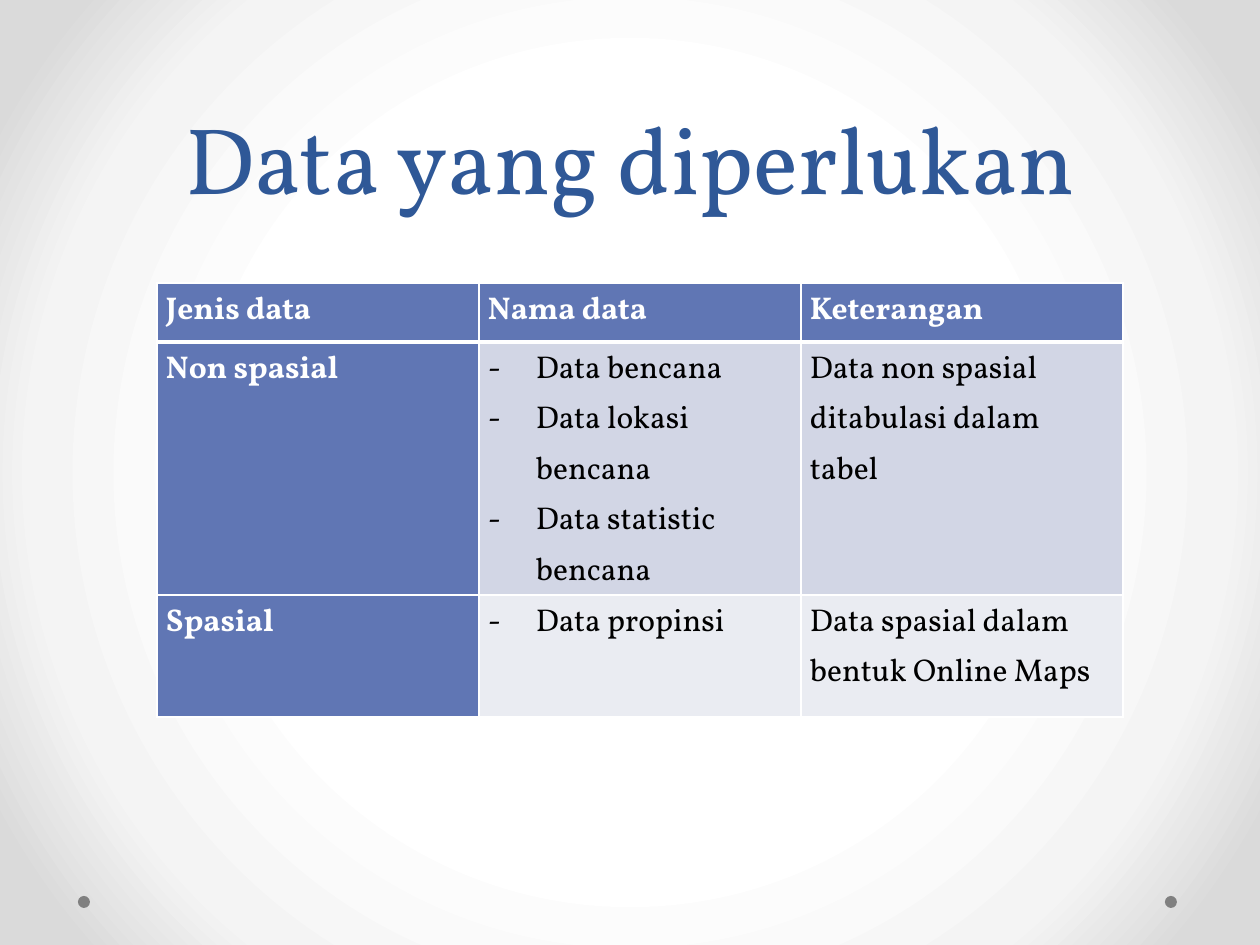
from pptx import Presentation
from pptx.dml.color import RGBColor
from pptx.enum.shapes import MSO_SHAPE
from pptx.enum.text import MSO_ANCHOR, MSO_AUTO_SIZE, PP_ALIGN
from pptx.oxml import parse_xml
from pptx.oxml.ns import nsdecls
from pptx.util import Pt
from lxml import etree

PX = 914400 // 126
FONT = "Vollkorn"
C = {"title": "2F5897", "head": "6076B4", "band1": "D2D6E5", "band2": "EAECF2",
     "white": "FFFFFF", "black": "000000", "dot": "808080", "mid": "F4F4F4", "edge": "DADADA"}


def write(tf, lines, size=18, color="black", bold=False, spacing=1.15,
          align=PP_ALIGN.LEFT, bullet=False):
    tf.word_wrap = True
    for i, line in enumerate(lines):
        p = tf.paragraphs[0] if i == 0 else tf.add_paragraph()
        p.alignment = align
        p.line_spacing = spacing
        r = p.add_run()
        r.text = line
        r.font.name = FONT
        r.font.size = Pt(size)
        r.font.bold = bold
        r.font.color.rgb = RGBColor.from_string(C[color])
        if bullet:
            pPr = p._p.get_or_add_pPr()
            pPr.set("marL", str(48 * PX))
            pPr.set("indent", str(-48 * PX))
            pPr.append(parse_xml(f'<a:buFont {nsdecls("a")} typeface="{FONT}"/>'))
            pPr.append(parse_xml(f'<a:buChar {nsdecls("a")} char="-"/>'))


prs = Presentation()
prs.slide_width, prs.slide_height = 1260 * PX, 945 * PX
s = prs.slides.add_slide(prs.slide_layouts[5])

stops = "".join(f'<a:gs pos="{pos}000"><a:srgbClr val="{C[name]}"/></a:gs>'
                for pos, name in ((50, "white"), (76, "mid"), (92, "edge")))
s._element.cSld.insert(0, parse_xml(
    f'<p:bg {nsdecls("p", "a")}><p:bgPr><a:gradFill rotWithShape="1"><a:gsLst>{stops}</a:gsLst>'
    '<a:path path="circle"><a:fillToRect l="50000" t="50000" r="50000" b="50000"/></a:path>'
    '</a:gradFill><a:effectLst/></p:bgPr></p:bg>'))

for x in (1165, 78):
    dot = s.shapes.add_shape(MSO_SHAPE.OVAL, x * PX, 896 * PX, 12 * PX, 12 * PX)
    dot.shadow.inherit = False
    dot.fill.solid()
    dot.fill.fore_color.rgb = RGBColor.from_string(C["dot"])
    dot.line.fill.background()

title = s.shapes.title
title.left, title.top, title.width, title.height = 63 * PX, 0, 1134 * PX, 220 * PX
title.text_frame.auto_size = MSO_AUTO_SIZE.NONE
title.text_frame.vertical_anchor = MSO_ANCHOR.BOTTOM
write(title.text_frame, ["Data yang diperlukan"], size=54, color="title",
      spacing=Pt(58), align=PP_ALIGN.CENTER)

rows = [
    (59, "head", [["Jenis data"], ["Nama data"], ["Keterangan"]]),
    (253, "band1", [["Non spasial"],
                    ["Data bencana", "Data lokasi bencana", "Data statistic bencana"],
                    ["Data non spasial ditabulasi dalam tabel"]]),
    (122, "band2", [["Spasial"], ["Data propinsi"],
                    ["Data spasial dalam bentuk Online Maps"]]),
]
height = sum(h for h, _, _ in rows)
table = s.shapes.add_table(3, 3, 157 * PX, 283 * PX, 966 * PX, height * PX).table
table.horz_banding = False
for col in table.columns:
    col.width = 322 * PX

for i, (h, band, texts) in enumerate(rows):
    table.rows[i].height = h * PX
    for j, lines in enumerate(texts):
        cell = table.cell(i, j)
        cell.margin_left = cell.margin_right = 9 * PX
        cell.margin_top = cell.margin_bottom = 0
        heading = i == 0 or j == 0
        tcPr = cell._tc.get_or_add_tcPr()
        for side in "LRTB":
            thick = (i == 0 and side == "B") or (i == 1 and side == "T")
            ln = etree.SubElement(tcPr, "{http://schemas.openxmlformats.org/drawingml/2006/main}ln" + side,
                                  w=str(Pt(3 if thick else 1)))
            ln.append(parse_xml(f'<a:solidFill {nsdecls("a")}><a:srgbClr val="{C["white"]}"/></a:solidFill>'))
        cell.fill.solid()
        cell.fill.fore_color.rgb = RGBColor.from_string(C["head" if heading else band])
        write(cell.text_frame, lines, color="white" if heading else "black",
              bold=heading, bullet=j == 1 and not heading)

prs.save("out.pptx")
